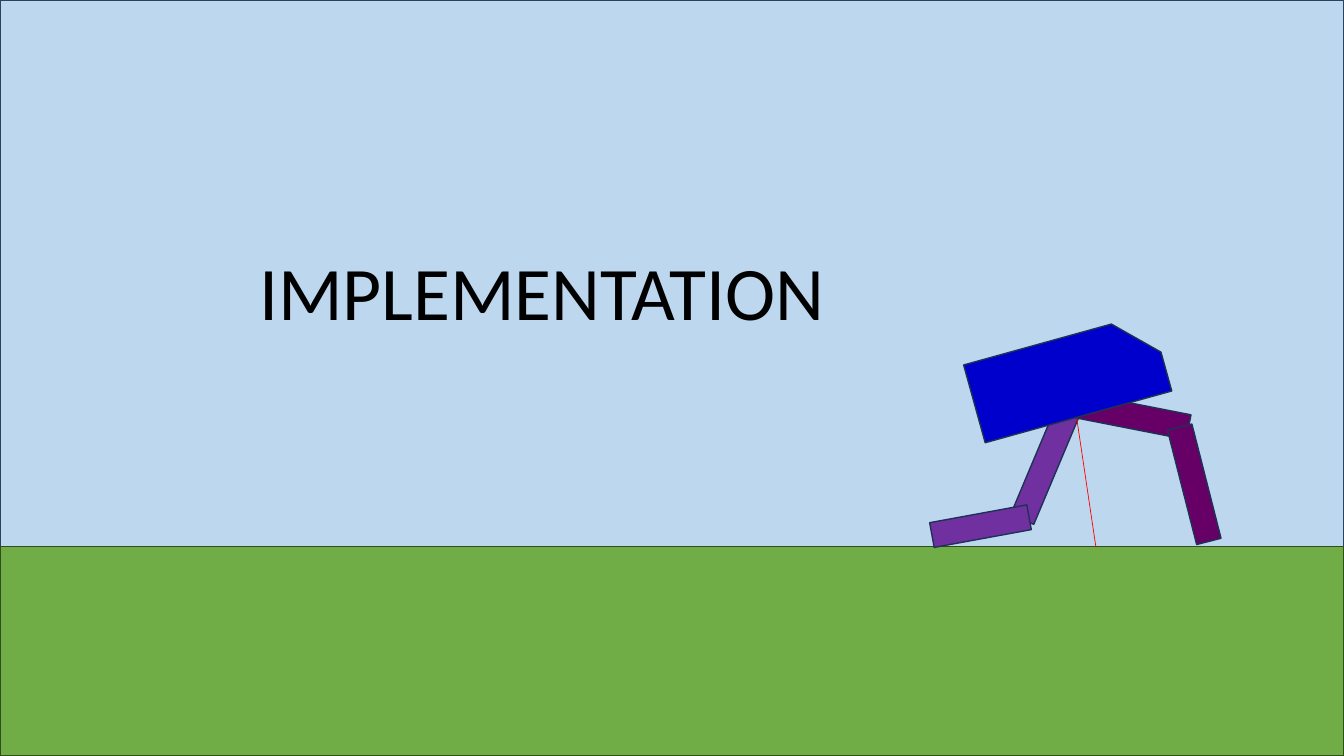
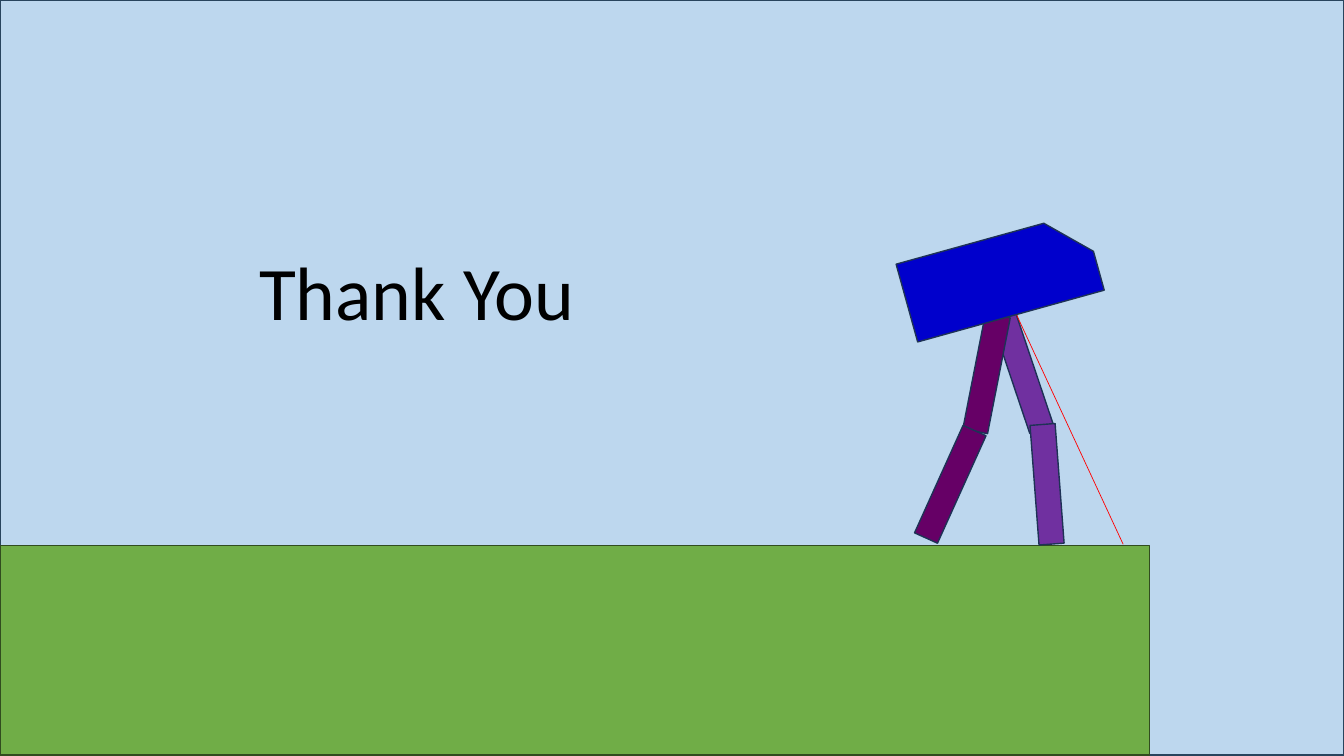
from lxml import etree
from pptx import Presentation
from pptx.dml.color import RGBColor
from pptx.enum import shapes, text
from pptx.oxml import ns
from pptx.util import Pt

EMU_PER_PX = 9144  # 100 px to the inch
SLIDE_SIZE = (1333, 750)
TITLE_BOX = (247, 238, 667, 101)
BODY_SIZE = (192, 80)
BODY_ROTATION = 344.5
LIMB_WIDTH = 25

COLORS = {
    "sky": "BDD7EE", "sky edge": "28445D",
    "ground": "70AD47", "ground edge": "314C1F",
    "near": "7030A0", "far": "660066",
    "body": "0000CC", "walker edge": "1E3256",
    "sight": "FF0000", "title": "000000",
}
TITLE_FONT = {"name": "Calibri", "size": Pt(54), "bold": False}
TITLE_FRAME = {
    "word_wrap": True,
    "auto_size": text.MSO_AUTO_SIZE.SHAPE_TO_FIT_TEXT,
    "vertical_anchor": text.MSO_ANCHOR.TOP,
}

# Limbs: colour, left, top, length, rotation
SLIDES = [
    {
        "title": "IMPLEMENTATION",
        "sky": (0, 0, 1333, 542),
        "ground": (0, 542, 1333, 208),
        "limbs": [
            ("near", 1024, 403, 117, 22.8),
            ("far", 1109, 354, 117, 281.1),
            ("far", 1172, 422, 117, 345.7),
            ("near", 960, 473, 98, 79.6),
        ],
        "sight": (1062, 375, 1087, 543),
        "body": (963, 335),
    },
    {
        "title": "Thank You",
        "sky": (0, 0, 1333, 749),
        "ground": (0, 541, 1140, 208),
        "limbs": [
            ("near", 1002, 312, 117, 341.4),
            ("far", 966, 312, 117, 11.1),
            ("far", 930, 422, 117, 24.3),
            ("near", 1026, 421, 119, 355.7),
        ],
        "sight": (1003, 301, 1114, 540),
        "body": (896, 235),
    },
]


def px(*lengths):
    return [length * EMU_PER_PX for length in lengths]


def color(name):
    return RGBColor.from_string(COLORS[name])


def set_all(target, values):
    for name, value in values.items():
        setattr(target, name, value)


def add_block(slide, box, fill, edge, rotation=0, kind=shapes.MSO_SHAPE.RECTANGLE):
    shape = slide.shapes.add_shape(kind, *px(*box))
    shape.shadow.inherit = False
    shape.fill.solid()
    shape.fill.fore_color.rgb = color(fill)
    shape.line.color.rgb = color(edge)
    shape.line.width = Pt(1)
    shape.rotation = rotation
    return shape


def add_sight_line(slide, ends):
    line = slide.shapes.add_connector(shapes.MSO_CONNECTOR.STRAIGHT, *px(*ends))
    line.line.color.rgb = color("sight")
    line.line.width = Pt(0.5)
    etree.SubElement(line._element.spPr, ns.qn("a:effectLst"))


def add_walker(slide, content):
    for side, left, top, length, rotation in content["limbs"]:
        add_block(slide, (left, top, LIMB_WIDTH, length), side, "walker edge", rotation)
    add_sight_line(slide, content["sight"])
    body = add_block(slide, content["body"] + BODY_SIZE, "body", "walker edge",
                     BODY_ROTATION, shapes.MSO_SHAPE.SNIP_1_RECTANGLE)
    body.adjustments[0] = 0.5


def format_title(slide, wording):
    title = slide.shapes.title
    set_all(title, dict(zip(("left", "top", "width", "height"), px(*TITLE_BOX))))
    title.text_frame.text = wording
    set_all(title.text_frame, TITLE_FRAME)
    paragraph = title.text_frame.paragraphs[0]
    paragraph.alignment = text.PP_ALIGN.LEFT
    font = paragraph.runs[0].font
    set_all(font, TITLE_FONT)
    font.color.rgb = color("title")
    # Bring the title in front of the scenery
    slide.shapes._spTree.append(title._element)


def main():
    presentation = Presentation()
    presentation.slide_width, presentation.slide_height = px(*SLIDE_SIZE)
    title_only = presentation.slide_layouts[5]
    for content in SLIDES:
        slide = presentation.slides.add_slide(title_only)
        for part in ("sky", "ground"):
            add_block(slide, content[part], part, part + " edge")
        add_walker(slide, content)
        format_title(slide, content["title"])
    presentation.save("out.pptx")


if __name__ == "__main__":
    main()
